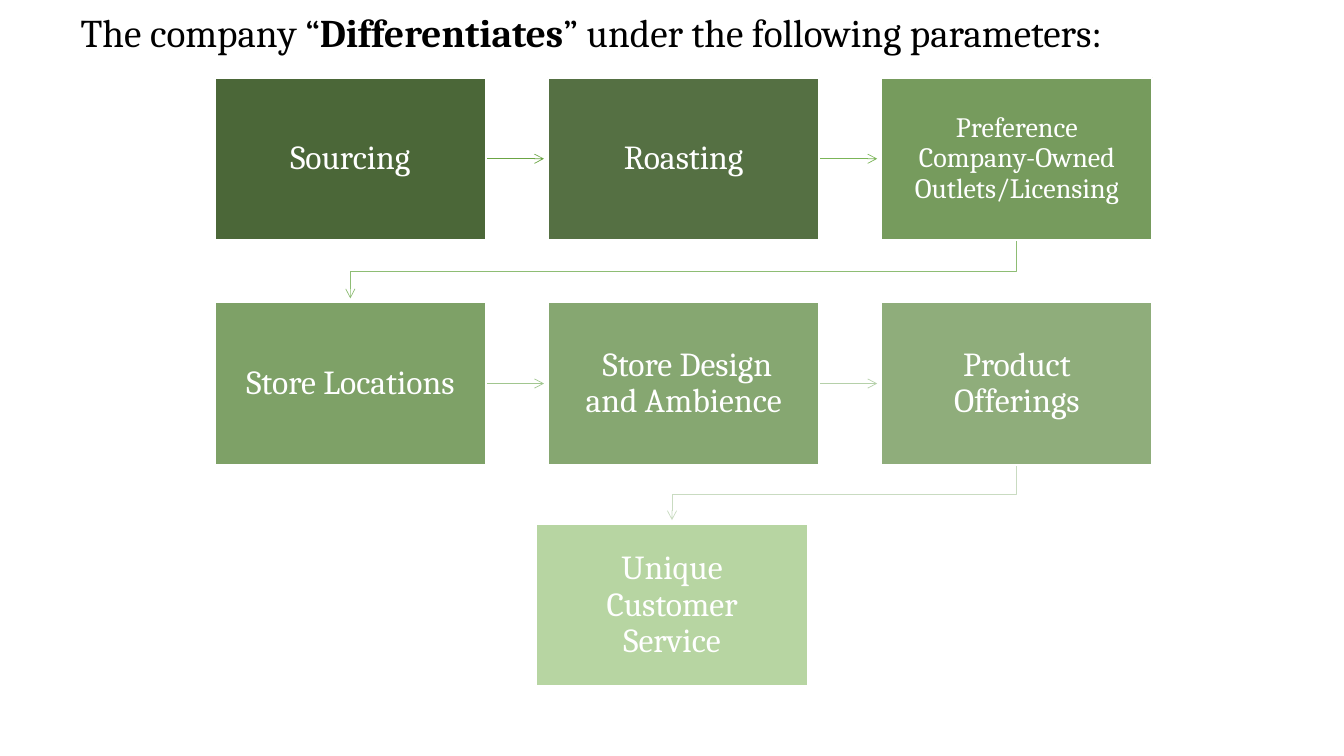
from lxml import etree
from pptx import Presentation
from pptx.dml.color import RGBColor
from pptx.enum.shapes import MSO_CONNECTOR as Connector, MSO_SHAPE as Shape
from pptx.enum.text import MSO_ANCHOR as Anchor, MSO_AUTO_SIZE as AutoSize, PP_ALIGN as Align
from pptx.oxml.ns import qn
from pptx.util import Inches, Pt

COLORS = {
    "black": "000000", "white": "FFFFFF",
    "dark": "385723", "medium": "548235", "light": "70AD47",
}
BOX_WIDTH, BOX_HEIGHT = 2.69, 1.61
ROW_OFFSETS = [0, 2.23, 4.43]
LAST_BOX_OFFSET = 3.19
ARROW_GAP = 0.04

STEPS = [
    ("Sourcing", 24, "dark", 90),
    ("Roasting", 24, "dark", 85),
    ("Preference Company-Owned Outlets/Licensing", 20, "medium", 80),
    ("Store Locations", 24, "medium", 75),
    (" Store Design and Ambience", 24, "medium", 70),
    ("Product Offerings", 24, "medium", 65),
    ("Unique Customer Service", 24, "light", 50),
]
ARROW_COLORS = ["6BA544", "7BB558", "8EBD74", "A1C68F", "B5D0A9", "C9DBC1"]


def add_text(paragraph, text, size=24, color="white", bold=False, align=Align.CENTER):
    """Append a formatted run to a paragraph."""
    paragraph.alignment = align
    paragraph.line_spacing = 0.9
    run = paragraph.add_run()
    run.text = text
    run.font.name = "Cambria"
    run.font.size = Pt(size)
    run.font.bold = bold
    run.font.color.rgb = RGBColor.from_string(COLORS[color])


def add_title(slide, left, top, width, height):
    """Place the heading with its emphasised word."""
    title = slide.shapes.title
    title.left, title.top = Inches(left), Inches(top)
    title.width, title.height = Inches(width), Inches(height)
    frame = title.text_frame
    frame.auto_size = AutoSize.NONE
    frame.word_wrap = True
    frame.vertical_anchor = Anchor.MIDDLE
    parts = [("The company “", False), ("Differentiates", True),
             ("” under the following parameters:", False)]
    for text, bold in parts:
        add_text(frame.paragraphs[0], text, size=28, color="black", bold=bold, align=Align.LEFT)


def add_step(slide, left, top, text, size, color, opacity):
    """Draw one translucent step box with its label."""
    shape = slide.shapes.add_shape(
        Shape.RECTANGLE, Inches(left), Inches(top), Inches(BOX_WIDTH), Inches(BOX_HEIGHT))
    shape.fill.solid()
    shape.fill.fore_color.rgb = RGBColor.from_string(COLORS[color])
    fill_color = shape.element.spPr.find(qn("a:solidFill"))[0]
    etree.SubElement(fill_color, qn("a:alpha"), val=str(opacity * 1000))
    shape.line.color.rgb = RGBColor.from_string(COLORS["white"])
    shape.line.width = Pt(1.5)
    shape.shadow.inherit = False
    frame = shape.text_frame
    frame.word_wrap = True
    frame.vertical_anchor = Anchor.MIDDLE
    inset = Inches(0.19 if size == 24 else 0.16)
    frame.margin_left = frame.margin_right = frame.margin_top = frame.margin_bottom = inset
    add_text(frame.paragraphs[0], text, size=size)


def add_arrow(slide, points, color):
    """Draw an arrow along the points, straight or bent."""
    points = [(Inches(x), Inches(y)) for x, y in points]
    if len(points) == 2:
        arrow = slide.shapes.add_connector(Connector.STRAIGHT, *points[0], *points[1])
    else:
        builder = slide.shapes.build_freeform(*points[0])
        builder.add_line_segments(points[1:], close=False)
        arrow = builder.convert_to_shape()
        arrow.fill.background()
    arrow.line.color.rgb = RGBColor.from_string(color)
    arrow.line.width = Pt(0.5)
    properties = arrow.element.spPr
    etree.SubElement(properties.find(qn("a:ln")), qn("a:tailEnd"), type="arrow")
    etree.SubElement(properties, qn("a:effectLst"))


def arrow_points(start, end):
    """Route from one box to the next, beside it or in the row below."""
    (left, top), (next_left, next_top) = start, end
    if top == next_top:
        middle = top + BOX_HEIGHT / 2
        return [(left + BOX_WIDTH, middle), (next_left - ARROW_GAP, middle)]
    start_x, end_x = left + BOX_WIDTH / 2, next_left + BOX_WIDTH / 2
    bottom = top + BOX_HEIGHT
    bend = (bottom + next_top) / 2
    return [(start_x, bottom), (start_x, bend), (end_x, bend), (end_x, next_top - ARROW_GAP)]


def add_process(slide, left, top, width):
    """Lay out the steps in rows of three and join them with arrows."""
    pitch = (width - BOX_WIDTH) / 2
    corners = [(left + index % 3 * pitch, top + ROW_OFFSETS[index // 3]) for index in range(6)]
    corners.append((left + LAST_BOX_OFFSET, top + ROW_OFFSETS[2]))
    for start, end, color in zip(corners, corners[1:], ARROW_COLORS):
        add_arrow(slide, arrow_points(start, end), color)
    for corner, step in zip(corners, STEPS):
        add_step(slide, *corner, *step)


def main():
    """Build and save the presentation."""
    presentation = Presentation()
    presentation.slide_width, presentation.slide_height = Inches(13.33), Inches(7.5)
    slide = presentation.slides.add_slide(presentation.slide_layouts[5])
    add_title(slide, 0.7, 0.08, 11.5, 0.54)
    add_process(slide, 2.13, 0.77, 9.3)
    presentation.save("out.pptx")


if __name__ == "__main__":
    main()
